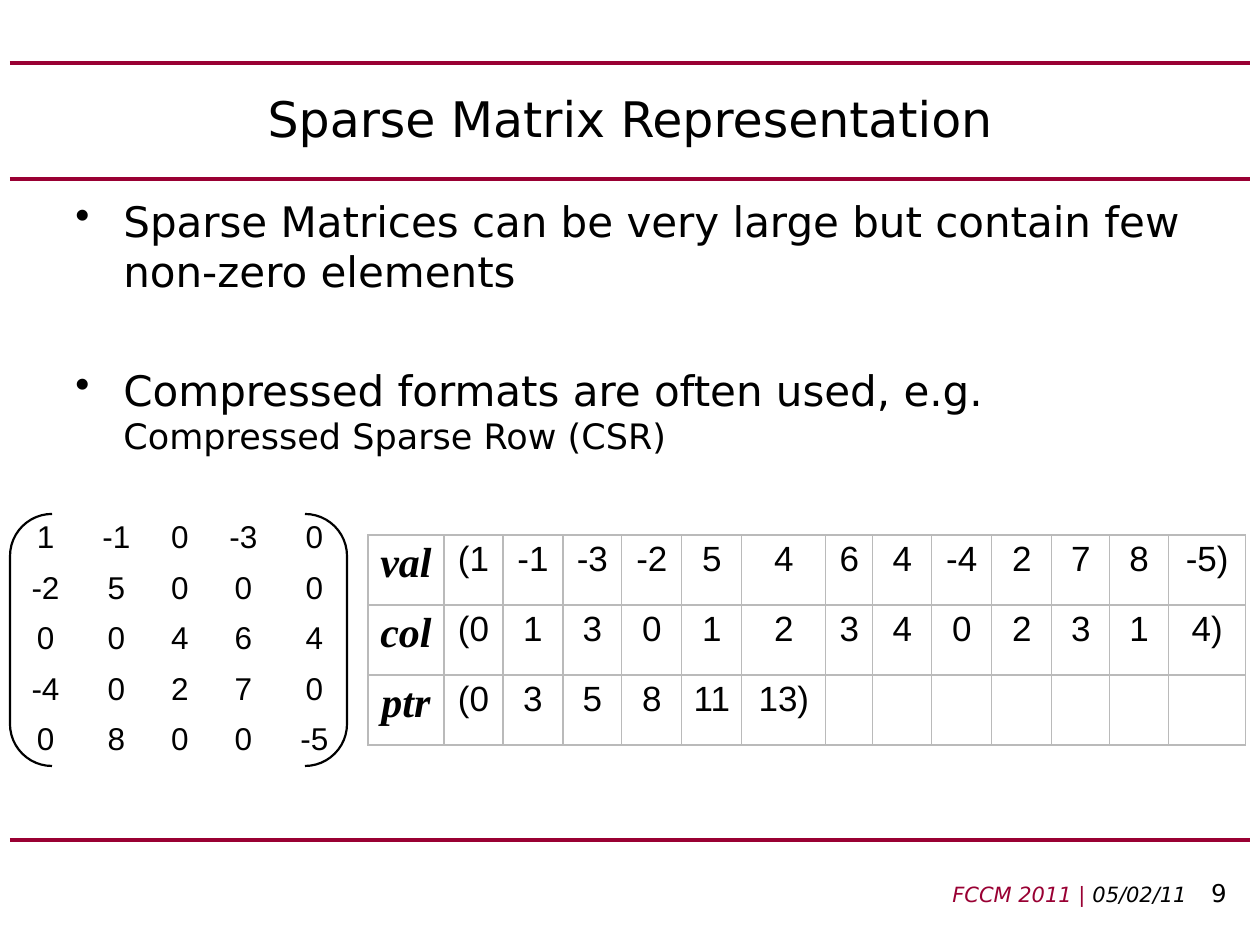
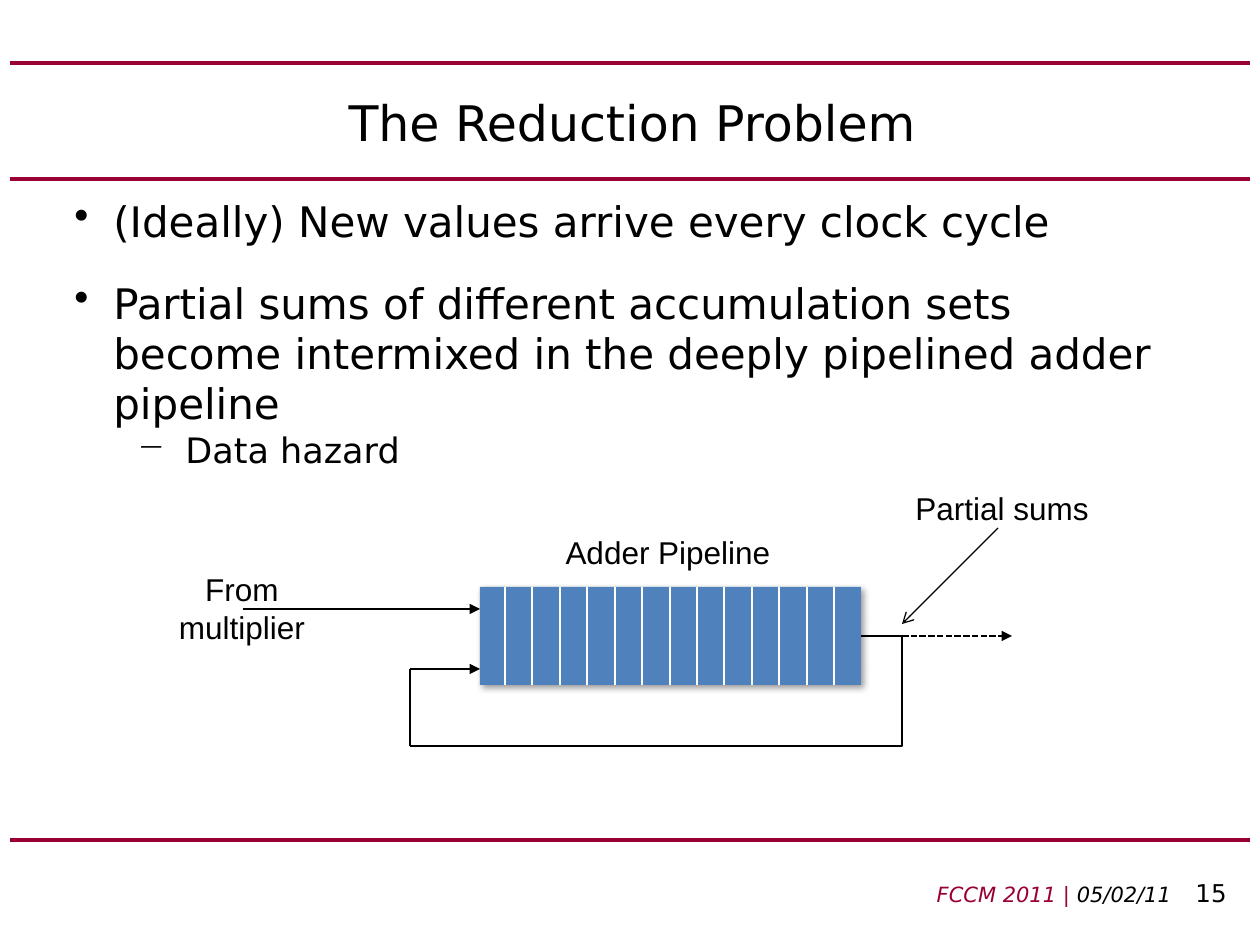
"""Builds two slides on sparse matrices and the reduction problem."""
from dataclasses import dataclass

from lxml.etree import SubElement
from pptx import Presentation
from pptx.dml.color import RGBColor
from pptx.enum.dml import MSO_LINE
from pptx.enum.shapes import MSO_CONNECTOR as LINK, MSO_SHAPE
from pptx.enum.text import MSO_ANCHOR, MSO_AUTO_SIZE, PP_ALIGN as ALIGN
from pptx.oxml.ns import qn
from pptx.slide import Slide
from pptx.util import Emu, Pt

COLORS = {"ink": "000000", "band": "990033", "grid": "BABABA", "adder": "4F81BD", "paper": "FFFFFF"}
HEADING_FONT, LABEL_FONT, NAME_FONT = "DejaVu Sans", "Arial", "Times New Roman"
EMU_PER_PIXEL = 914400 / 126
BAND_TOPS = (63, 179, 840)

Box = tuple[int, int, int, int]


@dataclass(frozen=True)
class Style:
    size: int
    font: str = HEADING_FONT
    color: str = "ink"
    bold: bool = False
    italic: bool = False


@dataclass(frozen=True)
class Bullet:
    phrases: tuple[tuple[str, int], ...]
    margin: int
    hanging: int
    mark: str = "•"
    level: int = 0
    before: int = 0
    after: int = 0


@dataclass(frozen=True)
class Wire:
    start: tuple[int, int]
    end: tuple[int, int]
    width: float = 1.25
    color: str = "ink"
    head: str = ""
    dashed: bool = False
    bend: float = 0


LABEL = Style(18, LABEL_FONT)
VALUE = Style(20, LABEL_FONT)
ARRAY_NAME = Style(24, NAME_FONT, bold=True, italic=True)


def px(pixels: float) -> Emu:
    return Emu(round(pixels * EMU_PER_PIXEL))


def rgb(name: str) -> RGBColor:
    return RGBColor.from_string(COLORS[name])


def style_run(run, style: Style) -> None:
    font = run.font
    font.size, font.name = Pt(style.size), style.font
    font.bold, font.italic = style.bold, style.italic
    font.color.rgb = rgb(style.color)


def style_runs(paragraph, style: Style) -> None:
    for run in paragraph.runs:
        style_run(run, style)


def add_phrase(paragraph, text: str, style: Style) -> None:
    run = paragraph.add_run()
    run.text = text
    style_run(run, style)


def add_frame(slide: Slide, box: Box):
    frame = slide.shapes.add_textbox(*map(px, box)).text_frame
    frame.word_wrap = True
    return frame


def add_label(slide: Slide, text: str, box: Box, align: ALIGN = ALIGN.CENTER) -> None:
    frame = add_frame(slide, box)
    frame.text = text
    frame.paragraphs[0].alignment = align
    style_runs(frame.paragraphs[0], LABEL)


def add_wire(slide: Slide, wire: Wire) -> None:
    kind = LINK.ELBOW if wire.bend else LINK.STRAIGHT
    link = slide.shapes.add_connector(kind, *map(px, wire.start + wire.end))
    link.line.width = Pt(wire.width)
    link.line.color.rgb = rgb(wire.color)
    if wire.dashed:
        link.line.dash_style = MSO_LINE.SQUARE_DOT
    properties = link.element.find(qn("p:spPr"))
    if wire.head:
        SubElement(properties.find(qn("a:ln")), qn("a:tailEnd"), type=wire.head)
    if wire.bend:
        guides = properties.find(qn("a:prstGeom")).find(qn("a:avLst"))
        SubElement(guides, qn("a:gd"), name="adj1", fmla=f"val {round(wire.bend * 100000)}")
    SubElement(properties, qn("a:effectLst"))


def add_bullets(slide: Slide, box: Box, bullets: list[Bullet]) -> None:
    frame = add_frame(slide, box)
    for index, bullet in enumerate(bullets):
        paragraph = frame.add_paragraph() if index else frame.paragraphs[0]
        paragraph.level = bullet.level
        paragraph.space_before, paragraph.space_after = Pt(bullet.before), Pt(bullet.after)
        for text, size in bullet.phrases:
            add_phrase(paragraph, text, Style(size))
        properties = paragraph._p.get_or_add_pPr()
        properties.set("marL", str(px(bullet.margin)))
        properties.set("indent", str(-px(bullet.hanging)))
        SubElement(properties, qn("a:buChar"), char=bullet.mark)


def add_footer(slide: Slide, number: int) -> None:
    paragraph = add_frame(slide, (388, 872, 851, 42)).paragraphs[0]
    paragraph.alignment = ALIGN.RIGHT
    add_phrase(paragraph, "FCCM 2011 | ", Style(12, color="band", italic=True))
    add_phrase(paragraph, "05/02/11\t ", Style(12, italic=True))
    add_phrase(paragraph, str(number), Style(14))


def start_slide(deck, title: str, title_box: Box, number: int) -> Slide:
    slide = deck.slides.add_slide(deck.slide_layouts.get_by_name("Title Only"))
    for top in BAND_TOPS:
        add_wire(slide, Wire((10, top), (1250, top), 2.25, "band"))
    heading = slide.shapes.title
    heading.left, heading.top, heading.width, heading.height = map(px, title_box)
    frame = heading.text_frame
    frame.text = title
    frame.auto_size, frame.vertical_anchor = MSO_AUTO_SIZE.NONE, MSO_ANCHOR.MIDDLE
    frame.paragraphs[0].alignment = ALIGN.CENTER
    style_runs(frame.paragraphs[0], Style(28))
    add_footer(slide, number)
    return slide


def set_borders(properties, color: str) -> None:
    for index, side in enumerate(("lnL", "lnR", "lnT", "lnB")):
        border = properties.makeelement(qn(f"a:{side}"), {"w": str(Pt(0.75))})
        if color:
            fill = SubElement(border, qn("a:solidFill"))
            SubElement(fill, qn("a:srgbClr"), val=COLORS[color])
        else:
            SubElement(border, qn("a:noFill"))
        properties.insert(index, border)


def add_grid(slide: Slide, corner: tuple[int, int], widths: tuple[int, ...], row_height: int,
             rows: list[list[str]], style: Style, first: Style, border: str = "", inset: int = 0) -> None:
    size = (sum(widths), row_height * len(rows))
    holder = slide.shapes.add_table(len(rows), len(widths), *map(px, corner + size))
    table = holder.table
    table.first_row = table.horz_banding = False
    for column, width in zip(table.columns, widths):
        column.width = px(width)
    for row, values in zip(table.rows, rows):
        row.height = px(row_height)
        for cell in row.cells:
            cell.fill.background()
            if inset:
                cell.margin_left = cell.margin_right = px(inset)
                cell.margin_top = cell.margin_bottom = px(inset)
        for index, (cell, value) in enumerate(zip(row.cells, values)):
            cell.text_frame.text = value
            paragraph = cell.text_frame.paragraphs[0]
            paragraph.alignment = ALIGN.CENTER
            style_runs(paragraph, style if index else first)
    for properties in holder.element.iter(qn("a:tcPr")):
        set_borders(properties, border)


def add_brackets(slide: Slide, box: Box) -> None:
    brackets = slide.shapes.add_shape(MSO_SHAPE.DOUBLE_BRACKET, *map(px, box))
    brackets.shadow.inherit = False
    brackets.fill.background()
    brackets.line.color.rgb = rgb("ink")
    brackets.line.width = Pt(1.25)


def add_adder(slide: Slide, box: Box) -> None:
    adder = slide.shapes.add_shape(MSO_SHAPE.RECTANGLE, *map(px, box))
    adder.fill.solid()
    adder.fill.fore_color.rgb = rgb("adder")
    adder.line.fill.background()
    adder.shadow.inherit = False
    effects = adder.element.spPr.find(qn("a:effectLst"))
    shadow = SubElement(effects, qn("a:outerShdw"), blurRad=str(Pt(4)), dist=str(Pt(2)), dir="2700000")
    tint = SubElement(shadow, qn("a:srgbClr"), val=COLORS["ink"])
    SubElement(tint, qn("a:alpha"), val="40000")


def build_sparse_matrix(deck) -> None:
    slide = start_slide(deck, "Sparse Matrix Representation", (63, 63, 1134, 110), 9)
    add_bullets(slide, (63, 189, 1134, 640), [
        Bullet((("Sparse Matrices can be very large but contain few non-zero elements", 24),), 48, 48),
        Bullet((("Compressed formats are often used, e.g. ", 24), ("Compressed Sparse Row (CSR)", 20)),
               48, 48, before=39),
    ])
    matrix = ["1 -1 0 -3 0", "-2 5 0 0 0", "0 0 4 6 4", "-4 0 2 7 0", "0 8 0 0 -5"]
    add_grid(slide, (10, 514), (71, 71, 56, 71, 71), 48, [row.split() for row in matrix], LABEL, LABEL)
    add_brackets(slide, (10, 514, 337, 252))
    arrays = ["val (1 -1 -3 -2 5 4 6 4 -4 2 7 8 -5)", "col (0 1 3 0 1 2 3 4 0 2 3 1 4)", "ptr (0 3 5 8 11 13)"]
    widths = (76, 59, 60, 59, 60, 60, 84, 47, 59, 60, 60, 58, 59, 77)
    add_grid(slide, (368, 535), widths, 70, [row.split() for row in arrays],
             VALUE, ARRAY_NAME, border="grid", inset=5)


def build_reduction(deck) -> None:
    slide = start_slide(deck, "The Reduction Problem", (65, 76, 1134, 92), 15)
    add_bullets(slide, (62, 189, 1134, 210), [
        Bullet((("(Ideally) New values arrive every clock cycle ", 24),), 39, 39, after=18),
        Bullet((("Partial sums of different accumulation sets become intermixed in the deeply "
                 "pipelined adder pipeline", 24),), 39, 39),
        Bullet((("Data hazard", 20),), 111, 48, "−", level=1),
    ])
    left, top, width, height = adder = (480, 587, 381, 98)
    right, bottom = left + width, top + height
    loop_left, loop_right, loop_bottom = 410, 902, 746
    output, feedback = 636, 669
    add_adder(slide, adder)
    add_label(slide, "Adder Pipeline", (479, 527, 378, 53))
    add_label(slide, "Partial sums", (903, 483, 217, 53), ALIGN.LEFT)
    add_label(slide, "From multiplier", (135, 564, 214, 89))
    for stage in range(13):
        divider = round(505 + 27.42 * stage)
        add_wire(slide, Wire((divider, top), (divider, bottom), 0.75, "paper"))
    bend = (loop_right - loop_left) / (right - loop_left)
    for wire in (
        Wire((998, 528), (loop_right, 624), 0.75, head="arrow"),
        Wire((243, 609), (left, 609), head="triangle"),
        Wire((loop_left, loop_bottom), (right, output), bend=bend),
        Wire((loop_right, output), (1012, output), head="triangle", dashed=True),
        Wire((loop_left, feedback), (left, feedback), head="triangle"),
        Wire((loop_left, feedback), (loop_left, loop_bottom)),
    ):
        add_wire(slide, wire)


def main() -> None:
    deck = Presentation()
    deck.slide_width, deck.slide_height = px(1260), px(945)
    build_sparse_matrix(deck)
    build_reduction(deck)
    deck.save("out.pptx")


main()
